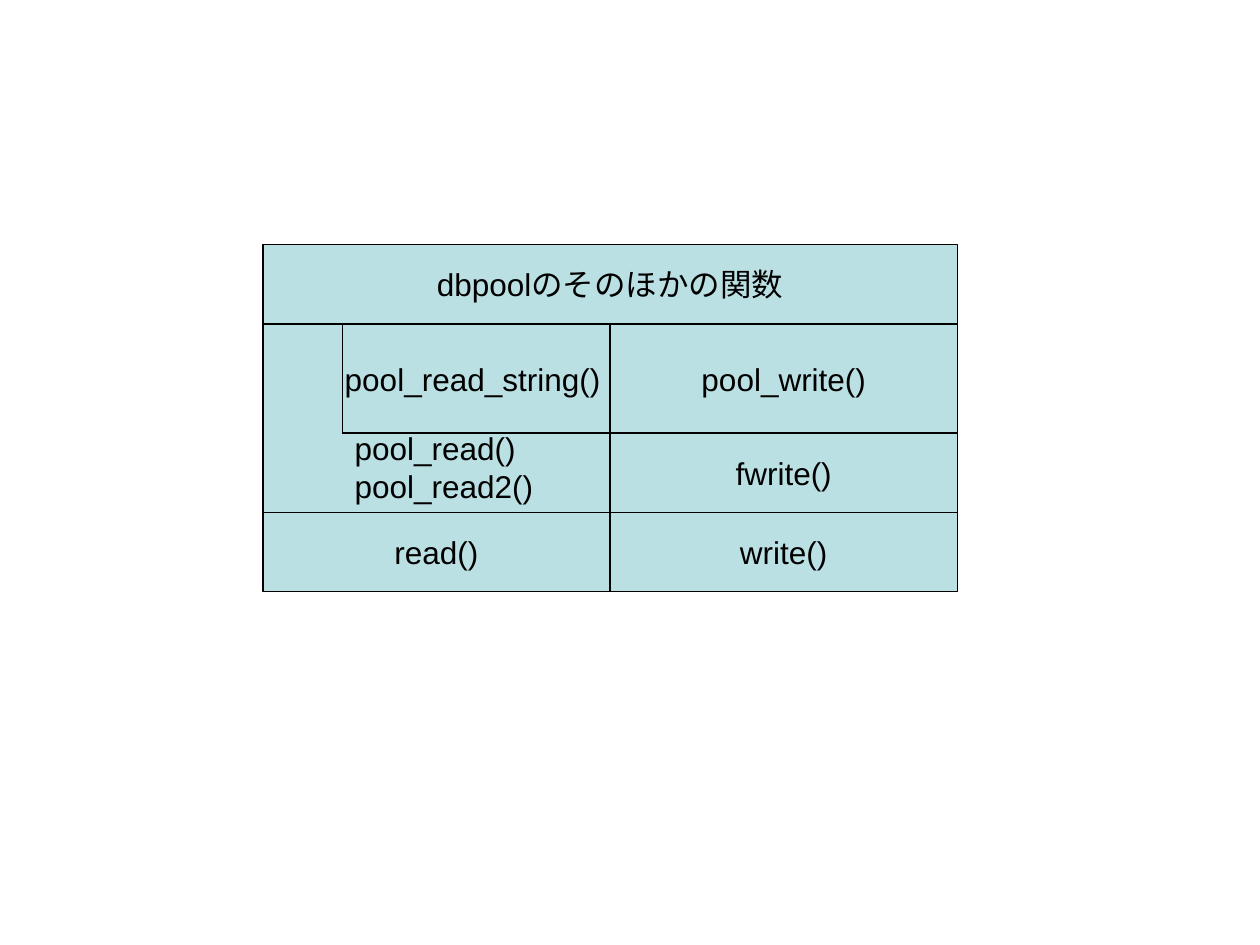
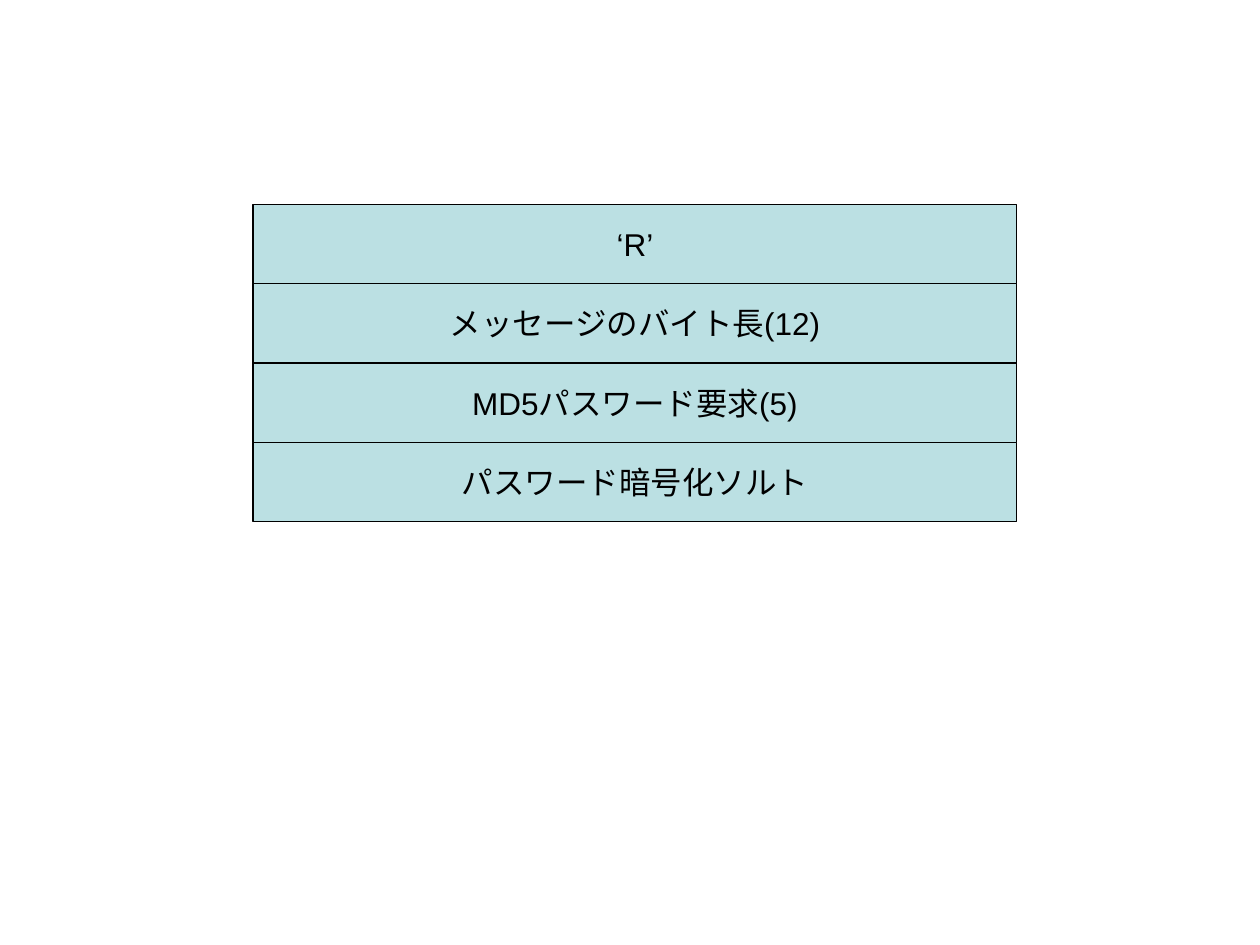
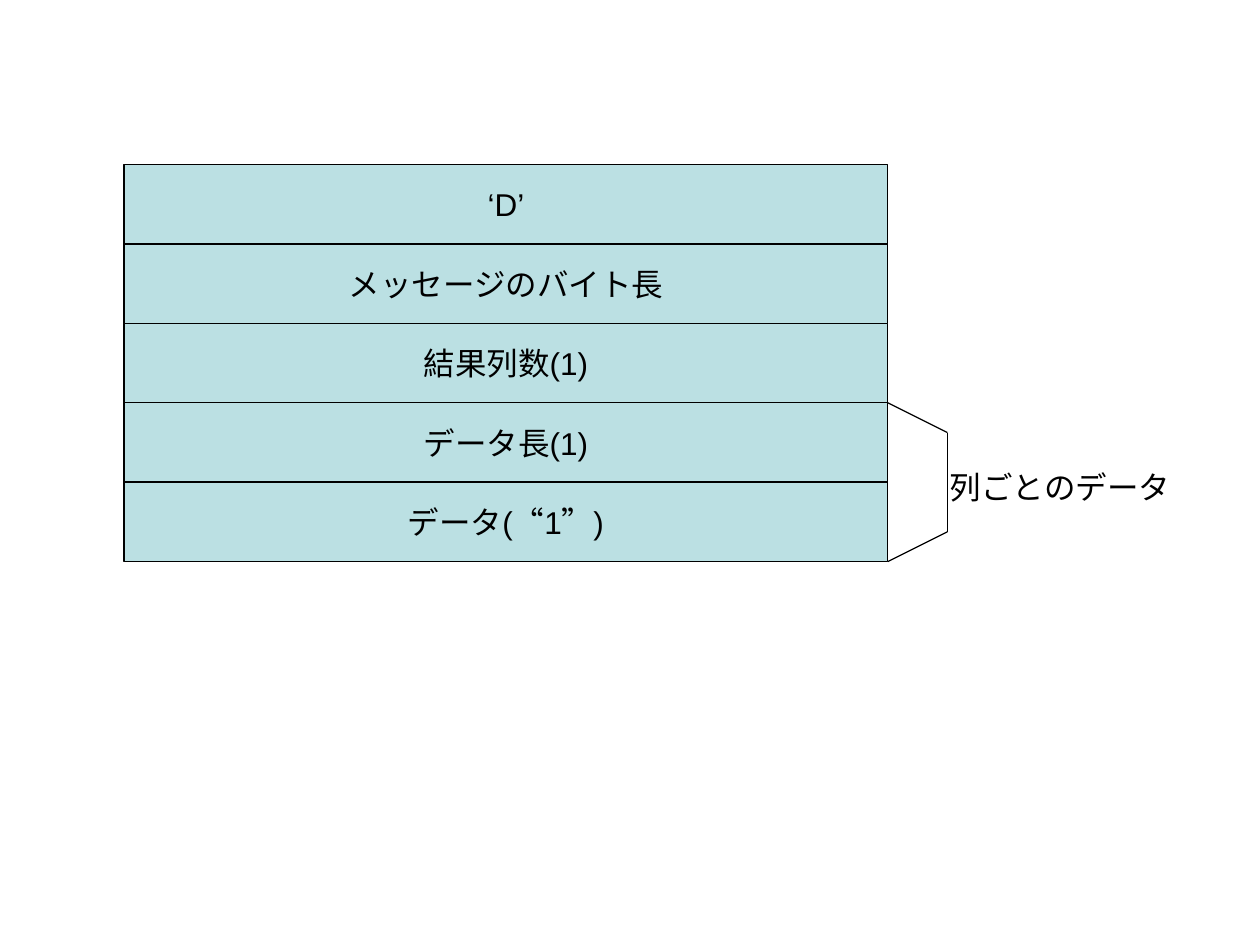
from dataclasses import dataclass
from itertools import pairwise

from lxml.etree import SubElement
from pptx import Presentation
from pptx.dml.color import RGBColor
from pptx.enum.shapes import MSO_CONNECTOR as Connector, MSO_SHAPE as Shape
from pptx.enum.text import MSO_ANCHOR as Anchor, MSO_AUTO_SIZE as AutoSize, PP_ALIGN as Align
from pptx.oxml.ns import qn
from pptx.util import Cm, Pt


@dataclass(frozen=True)
class Theme:
    fill: RGBColor = RGBColor(0xBB, 0xE0, 0xE3)
    ink: RGBColor = RGBColor(0, 0, 0)
    font: str = "Arial"
    text_size: float = 18
    line_width: float = 0.75


ROW_HEIGHT = 1.6
MESSAGE_WIDTH = 15.4


def write_text(frame, text, *, theme, align=Align.LEFT, anchor=Anchor.TOP):
    frame.word_wrap = False
    frame.vertical_anchor = anchor
    for index, line in enumerate(text.split("\n")):
        paragraph = frame.paragraphs[0] if index == 0 else frame.add_paragraph()
        paragraph.alignment = align
        run = paragraph.add_run()
        run.text = line
        run.font.name = theme.font
        run.font.size = Pt(theme.text_size)
        run.font.color.rgb = theme.ink


class Deck:
    def __init__(self, theme):
        self.theme = theme
        self.presentation = Presentation()
        self.presentation.slide_width = Cm(25.4)
        self.presentation.slide_height = Cm(19.05)
        self.slide = None

    def new_slide(self):
        blank_layout = self.presentation.slide_layouts[6]
        self.slide = self.presentation.slides.add_slide(blank_layout)

    def style_line(self, line):
        line.color.rgb = self.theme.ink
        line.width = Pt(self.theme.line_width)

    def box(self, left, top, width, height, text=""):
        shape = self.slide.shapes.add_shape(
            Shape.RECTANGLE, Cm(left), Cm(top), Cm(width), Cm(height))
        shape.shadow.inherit = False
        shape.fill.solid()
        shape.fill.fore_color.rgb = self.theme.fill
        self.style_line(shape.line)
        if text:
            write_text(shape.text_frame, text, theme=self.theme,
                       align=Align.CENTER, anchor=Anchor.MIDDLE)

    def label(self, left, top, width, height, text):
        shape = self.slide.shapes.add_textbox(Cm(left), Cm(top), Cm(width), Cm(height))
        write_text(shape.text_frame, text, theme=self.theme)
        shape.text_frame.auto_size = AutoSize.SHAPE_TO_FIT_TEXT

    def polyline(self, *points):
        for start, end in pairwise(points):
            connector = self.slide.shapes.add_connector(
                Connector.STRAIGHT, *map(Cm, start + end))
            self.style_line(connector.line)
            SubElement(connector._element.spPr, qn("a:effectLst"))

    def message(self, left, top, fields):
        for row, field in enumerate(fields):
            self.box(left, top + row * ROW_HEIGHT, MESSAGE_WIDTH, ROW_HEIGHT, field)


def add_function_layers(deck):
    deck.new_slide()
    left, top, column, pool_height = 5.3, 4.93, 7, 2.2
    middle = left + column
    pool_top = top + ROW_HEIGHT
    buffer_top = pool_top + pool_height
    system_top = buffer_top + ROW_HEIGHT
    notch = left + ROW_HEIGHT

    deck.box(left, system_top, column, ROW_HEIGHT, "read()")
    deck.box(middle, system_top, column, ROW_HEIGHT, "write()")
    deck.box(middle, buffer_top, column, ROW_HEIGHT, "fwrite()")
    deck.box(middle, pool_top, column, pool_height, "pool_write()")
    deck.box(left, pool_top, column, pool_height + ROW_HEIGHT)
    deck.box(left, top, 2 * column, ROW_HEIGHT, "dbpoolのそのほかの関数")
    deck.polyline((middle, buffer_top), (notch, buffer_top), (notch, pool_top))
    deck.label(notch, 8.53, 4.11, 1.78, "pool_read()\npool_read2()")
    deck.label(6.7, 7.14, 5.66, 1.02, "pool_read_string()")


def add_password_request(deck):
    deck.new_slide()
    deck.message(5.1, 4.12, [
        "‘R’", "メッセージのバイト長(12)", "MD5パスワード要求(5)", "パスワード暗号化ソルト"])


def add_data_row(deck):
    deck.new_slide()
    left, top = 2.5, 3.32
    deck.message(left, top, [
        "‘D’", "メッセージのバイト長", "結果列数(1)", "データ長(1)", "データ(“1”)"])
    right = left + MESSAGE_WIDTH
    bracket = right + 1.2
    column_top = top + 3 * ROW_HEIGHT
    column_bottom = top + 5 * ROW_HEIGHT
    deck.polyline((right, column_top), (bracket, column_top + 0.6),
                  (bracket, column_bottom - 0.6), (right, column_bottom))
    deck.label(18.9, 9.32, 4.95, 1.02, "列ごとのデータ")


def main():
    deck = Deck(Theme())
    add_function_layers(deck)
    add_password_request(deck)
    add_data_row(deck)
    deck.presentation.save("out.pptx")


if __name__ == "__main__":
    main()
